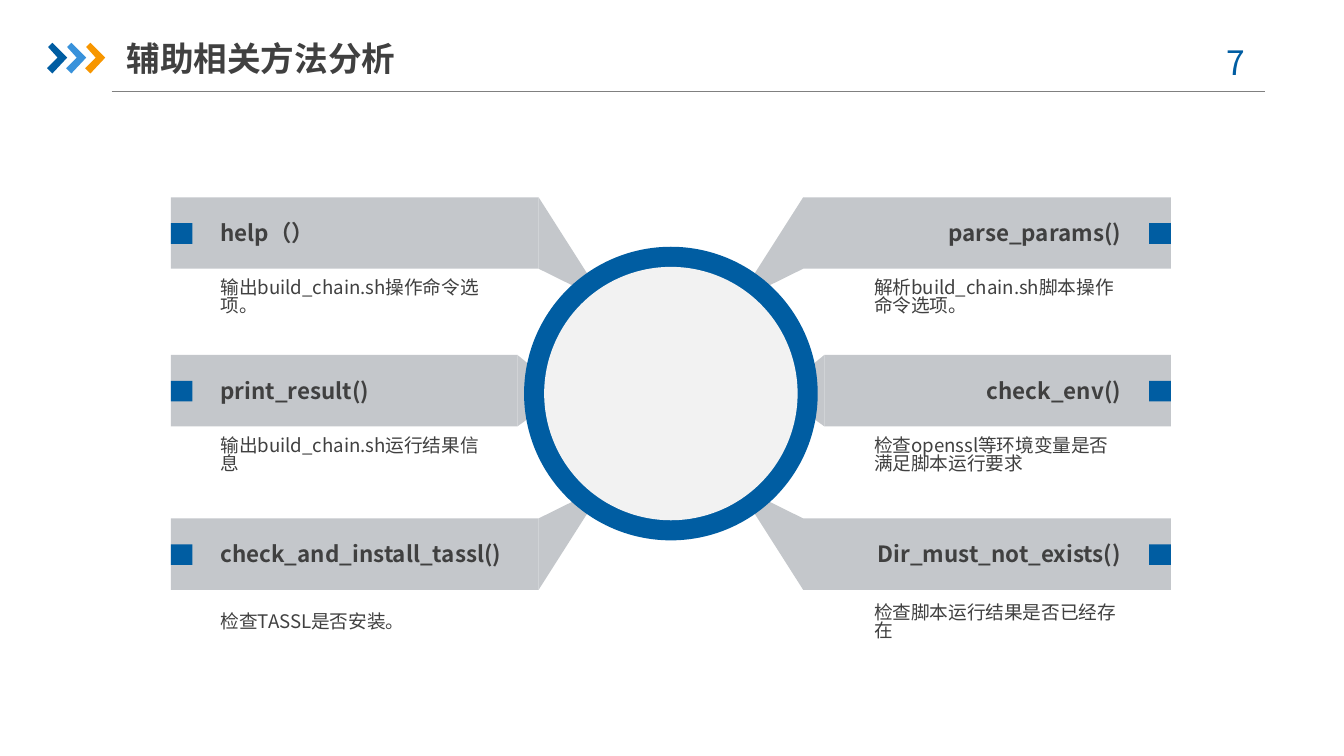
from dataclasses import dataclass

from lxml import etree
from pptx import Presentation
from pptx import util as u
from pptx.dml.color import RGBColor
from pptx.enum import shapes, text
from pptx.oxml.ns import qn


@dataclass(frozen=True)
class Theme:
    font: str = "Noto Sans CJK SC"
    blue: str = "005DA2"
    sky: str = "3992DB"
    orange: str = "F79600"
    bar: str = "C4C7CB"
    disc: str = "F2F2F2"
    ink: str = "404040"
    rule: str = "808080"
    title: int = 18
    heading: int = 12
    body: int = 10


T = Theme()
CENTER_X, CENTER_Y = 12.68, 7.44
BAR_LEFT, BAR_H = 3.23, 1.35

# Arm outlines, measured from the inner top corner of a left bar
UPPER_ARM = [(0, 0), (1.07, 1.68), (0.91, 1.8), (0, BAR_H)]
MIDDLE_ARM = [(0, 0), (0.71, 0.58), (0.71, 0.84), (0, BAR_H)]
LOWER_ARM = [(x, BAR_H - y) for x, y in UPPER_ARM]

# Bar top, bar width, arm, description offset, left texts, right texts
ROWS = [
    (3.73, 6.95, UPPER_ARM, 1.73,
     ("help（）", "输出build_chain.sh操作命令选项。"),
     ("parse_params()", "解析build_chain.sh脚本操作命令选项。")),
    (6.71, 6.55, MIDDLE_ARM, 1.73,
     ("print_result()", "输出build_chain.sh运行结果信息"),
     ("check_env()", "检查openssl等环境变量是否满足脚本运行要求")),
    (9.8, 6.95, LOWER_ARM, 1.8,
     ("check_and_install_tassl()", "检查TASSL是否安装。"),
     ("Dir_must_not_exists()", "检查脚本运行结果是否已经存在")),
]


def cm(*values):
    return [u.Cm(v) for v in values]


def paint(sp, color):
    sp.shadow.inherit = False
    sp.fill.solid()
    sp.fill.fore_color.rgb = RGBColor.from_string(color)
    sp.line.fill.background()


def add_preset(s, kind, box, color):
    paint(s.shapes.add_shape(kind, *cm(*box)), color)


def add_outline(s, points, color):
    first, *rest = [cm(x, y) for x, y in points]
    builder = s.shapes.build_freeform(*first, scale=1.0)
    builder.add_line_segments(rest, close=True)
    paint(builder.convert_to_shape(), color)


def write(sp, words, size, color=T.ink, bold=False, align=text.PP_ALIGN.LEFT,
          anchor=text.MSO_ANCHOR.TOP, spacing=None):
    tf = sp.text_frame
    tf.word_wrap = True
    tf.auto_size = text.MSO_AUTO_SIZE.NONE
    tf.vertical_anchor = anchor
    tf.margin_left = tf.margin_right = 0
    tf.margin_top = tf.margin_bottom = u.Cm(0.13)
    p = tf.paragraphs[0]
    p.alignment = align
    if spacing:
        p.line_spacing = spacing
    r = p.add_run()
    r.text = words
    r.font.name = T.font
    r.font.size = u.Pt(size)
    r.font.bold = bold
    r.font.color.rgb = RGBColor.from_string(color)
    # East Asian typeface
    r.font._element.find(qn("a:latin")).addnext(
        etree.Element(qn("a:ea"), typeface=T.font))


def add_text(s, box, words, size, **style):
    write(s.shapes.add_textbox(*cm(*box)), words, size, **style)


def add_header(s, box, title, number):
    left, top, width, height = box
    # Chevrons
    chevron = [(0.02, 0.08), (0.1, 0), (0.38, 0.28), (0.1, 0.58),
               (0, 0.48), (0.2, 0.28)]
    for i, color in enumerate((T.blue, T.sky, T.orange)):
        add_outline(s, [(left + 0.36 * i + x, top + 0.25 + y)
                        for x, y in chevron], color)
    # Title
    sp = s.shapes.title
    sp.left, sp.top, sp.width, sp.height = cm(left + 1.5, top, 5.92, 1.07)
    write(sp, title, T.title, bold=True, anchor=text.MSO_ANCHOR.MIDDLE)
    # Page number
    add_text(s, (left + 21.61, top + 0.1, 1.85, 1.02), number, T.title,
             color=T.blue, align=text.PP_ALIGN.CENTER)
    # Rule
    y = top + height
    line = s.shapes.add_connector(shapes.MSO_CONNECTOR.STRAIGHT,
                                  *cm(left + 1.22, y, left + width, y))
    line.line.color.rgb = RGBColor.from_string(T.rule)
    line.line.width = u.Pt(0.75)
    etree.SubElement(line._element.spPr, qn("a:effectLst"))


def add_panel(s, box, arm, texts, body_offset, on_right):
    left, top, width, height = box

    def place(x, y, w, h):
        """Box given for the left side, mirrored when on the right."""
        x += left
        return (2 * CENTER_X - x - w if on_right else x, top + y, w, h)

    # Bar, arm and marker
    rect = shapes.MSO_SHAPE.RECTANGLE
    add_preset(s, rect, place(0, 0, width, height), T.bar)
    add_outline(s, [place(width + x, y, 0, 0)[:2] for x, y in arm], T.bar)
    add_preset(s, rect, place(0, 0.49, 0.41, 0.39), T.blue)
    # Heading and description
    heading, body = texts
    align = text.PP_ALIGN.RIGHT if on_right else text.PP_ALIGN.LEFT
    add_text(s, place(0.94, 0.37, 5.44, 0.79), heading, T.heading,
             bold=True, align=align, spacing=0.83)
    add_text(s, place(0.94, body_offset, 4.67 if on_right else 4.93, 0.35),
             body, T.body, anchor=text.MSO_ANCHOR.MIDDLE, spacing=0.83)


def add_hub(s, box):
    left, top, size, _ = box
    rim = 0.38
    inner = size - 2 * rim
    oval = shapes.MSO_SHAPE.OVAL
    add_preset(s, oval, box, T.blue)
    add_preset(s, oval, (left + rim, top + rim, inner, inner), T.disc)


def main():
    prs = Presentation()
    prs.slide_width, prs.slide_height = cm(25.4, 14.29)
    s = prs.slides.add_slide(prs.slide_layouts[5])

    add_header(s, (0.89, 0.56, 23.01, 1.17), "辅助相关方法分析", "7 ")
    for top, width, arm, body_offset, *sides in ROWS:
        for on_right, texts in enumerate(sides):
            add_panel(s, (BAR_LEFT, top, width, BAR_H), arm, texts,
                      body_offset, on_right)
    size = 5.55
    add_hub(s, (CENTER_X - size / 2, CENTER_Y - size / 2, size, size))

    prs.save("out.pptx")


if __name__ == "__main__":
    main()
